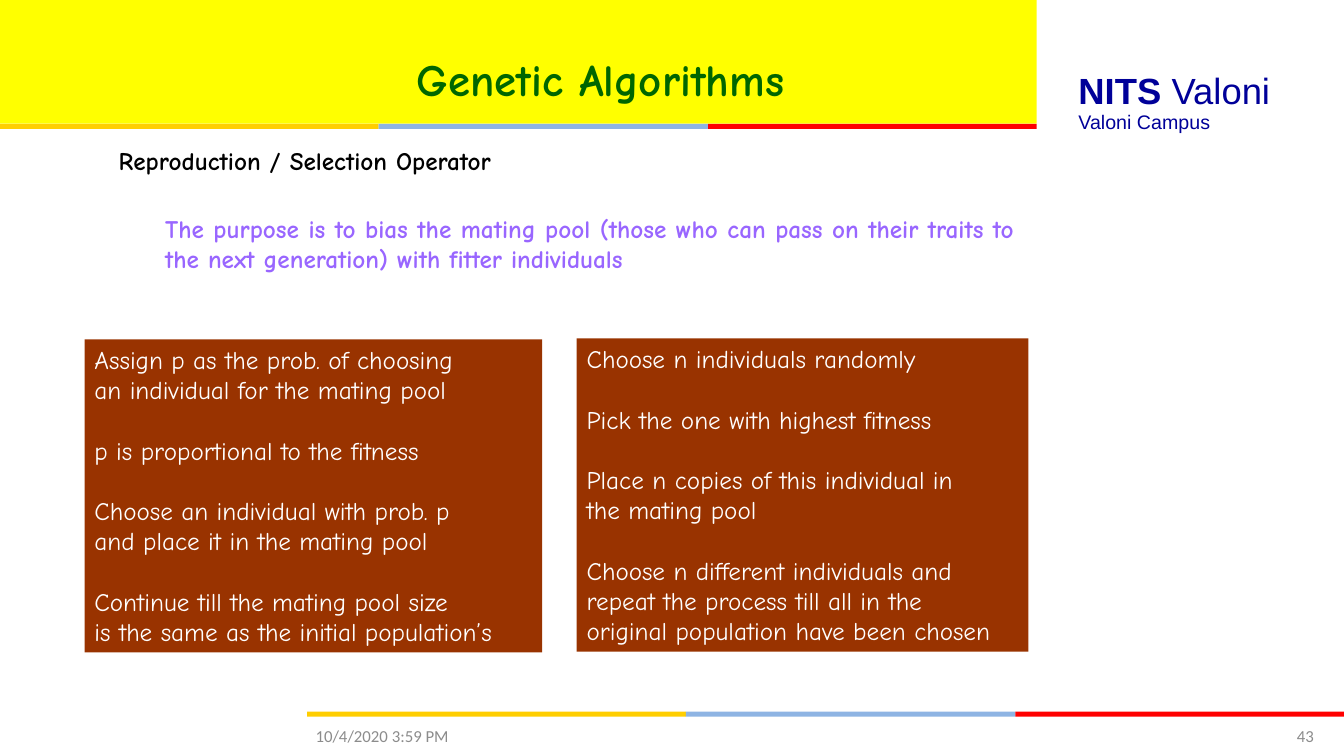
import dataclasses

import pptx
import pptx.dml.color
import pptx.enum.shapes
import pptx.enum.text
import pptx.util

Cm = pptx.util.Cm
Pt = pptx.util.Pt
ALIGN = pptx.enum.text.PP_ALIGN
ANCHOR = pptx.enum.text.MSO_ANCHOR


@dataclasses.dataclass(frozen=True)
class Theme:
    yellow: str = "FFFF00"
    gold: str = "FFCE00"
    sky: str = "8EB4E3"
    red: str = "FF0000"
    navy: str = "000099"
    green: str = "006600"
    violet: str = "9966FF"
    brown: str = "993300"
    grey: str = "8C8C8C"
    black: str = "000000"
    white: str = "FFFFFF"
    hand: str = "Comic Neue"
    sans: str = "Arial"
    small: str = "Calibri"
    title_size: int = 32
    campus_size: int = 26
    body_size: int = 18
    place_size: int = 14
    footer_size: int = 12


THEME = Theme()
SLIDE_WIDTH, SLIDE_HEIGHT = 33.86, 19.05
STRIPE_HEIGHT = 0.13
STRIPE = ((THEME.gold, 9.54), (THEME.sky, 8.3), (THEME.red, 8.28))
STRIPE_WIDTH = sum(width for _, width in STRIPE)

ROULETTE_STEPS = (
    "Assign p as the prob. of choosing\van individual for the mating pool",
    "p is proportional to the fitness",
    "Choose an individual with prob. p\vand place it in the mating pool",
    "Continue till the mating pool size\vis the same as the initial population’s",
)
TOURNAMENT_STEPS = (
    "Choose n individuals randomly",
    "Pick the one with highest fitness",
    "Place n copies of this individual in\vthe mating pool",
    "Choose n different individuals and\vrepeat the process till all in the\voriginal population have been chosen",
)


def rgb(value):
    return pptx.dml.color.RGBColor.from_string(value)


def place(item, box):
    item.left, item.top, item.width, item.height = (Cm(length) for length in box)


def bring_to_front(item):
    item.element.getparent().append(item.element)


def add_block(slide, box, color):
    block = slide.shapes.add_shape(
        pptx.enum.shapes.MSO_SHAPE.RECTANGLE, *(Cm(length) for length in box)
    )
    block.shadow.inherit = False
    block.fill.solid()
    block.fill.fore_color.rgb = rgb(color)
    block.line.fill.background()
    return block


def write(holder, paragraphs, *, size=THEME.body_size, font=THEME.hand,
          color=THEME.black, bold=False, align=ALIGN.LEFT, anchor=ANCHOR.TOP, gap=0):
    frame = holder.text_frame
    frame.word_wrap = True
    frame.auto_size = pptx.enum.text.MSO_AUTO_SIZE.NONE
    frame.vertical_anchor = anchor
    for index, text in enumerate(paragraphs):
        paragraph = frame.add_paragraph() if index else frame.paragraphs[0]
        paragraph.text = text
        paragraph.alignment = align
        paragraph.space_before = Pt(gap if index else 0)
        for run in paragraph.runs:
            run.font.size = Pt(size)
            run.font.name = font
            run.font.bold = bold
            run.font.color.rgb = rgb(color)
    return frame


def add_text(slide, box, text, **style):
    label = slide.shapes.add_textbox(*(Cm(length) for length in box))
    return write(label, [text], **style)


def add_stripe(slide, left, top):
    for color, width in STRIPE:
        add_block(slide, (left, top, width, STRIPE_HEIGHT), color)
        left += width


def add_header(slide, box):
    left, top, width, height = box
    add_block(slide, box, THEME.yellow)
    add_stripe(slide, left, top + height)
    title = slide.shapes.title
    place(title, (left + 4.7, top + 1.17, 21.26, 1.6))
    write(title, ["Genetic Algorithms "], size=THEME.title_size,
          color=THEME.green, bold=True, align=ALIGN.CENTER)
    bring_to_front(title)


def add_campus(slide, box):
    left, top, width, height = box
    campus = add_text(slide, (left, top, width, 1.37), "NITS ", size=THEME.campus_size,
                      font=THEME.sans, color=THEME.navy, bold=True)
    town = campus.paragraphs[0].add_run()
    town.text = "Valoni"
    town.font.size = Pt(THEME.campus_size)
    town.font.name = THEME.sans
    town.font.color.rgb = rgb(THEME.navy)
    add_text(slide, (left, top + 1.05, width, height - 1.05), "Valoni Campus",
             size=THEME.place_size, font=THEME.sans, color=THEME.navy)


def add_purpose(slide, box):
    left, top, width, height = box
    add_text(slide, (left, top, 11.28, 1.02), "Reproduction / Selection Operator", bold=True)
    add_text(slide, (left + 1.17, top + 1.71, width - 1.17, height - 1.71),
             "The purpose is to bias the mating pool (those who can pass on their traits to "
             "the next generation) with fitter individuals",
             color=THEME.violet, bold=True, align=ALIGN.JUSTIFY)


def add_steps(slide, box, steps):
    write(add_block(slide, box, THEME.brown), steps, color=THEME.white, gap=21.6)


def add_footer(slide, box):
    left, top, width, height = box
    add_stripe(slide, left, top)
    style = dict(size=THEME.footer_size, font=THEME.small, color=THEME.grey,
                 anchor=ANCHOR.MIDDLE)
    text_top, text_height = top + 0.1, height - 0.1
    add_text(slide, (left - 0.04, text_top, 7.9, text_height), "10/4/2020 3:59 PM", **style)
    add_text(slide, (left + width - 4.22, text_top, 3.71, text_height), "43",
             align=ALIGN.RIGHT, **style)


def main():
    deck = pptx.Presentation()
    deck.slide_width, deck.slide_height = Cm(SLIDE_WIDTH), Cm(SLIDE_HEIGHT)
    slide = deck.slides.add_slide(deck.slide_layouts.get_by_name("Title Only"))
    add_header(slide, (0, 0, STRIPE_WIDTH, 3.12))
    add_campus(slide, (26.92, 1.59, 6.9, 1.91))
    add_purpose(slide, (2.74, 3.53, 23.06, 3.5))
    add_steps(slide, (2.13, 8.55, 11.53, 7.89), ROULETTE_STEPS)
    add_steps(slide, (14.53, 8.53, 11.38, 7.89), TOURNAMENT_STEPS)
    add_footer(slide, (SLIDE_WIDTH - STRIPE_WIDTH, 17.93, STRIPE_WIDTH, 1.12))
    deck.save("out.pptx")


if __name__ == "__main__":
    main()
